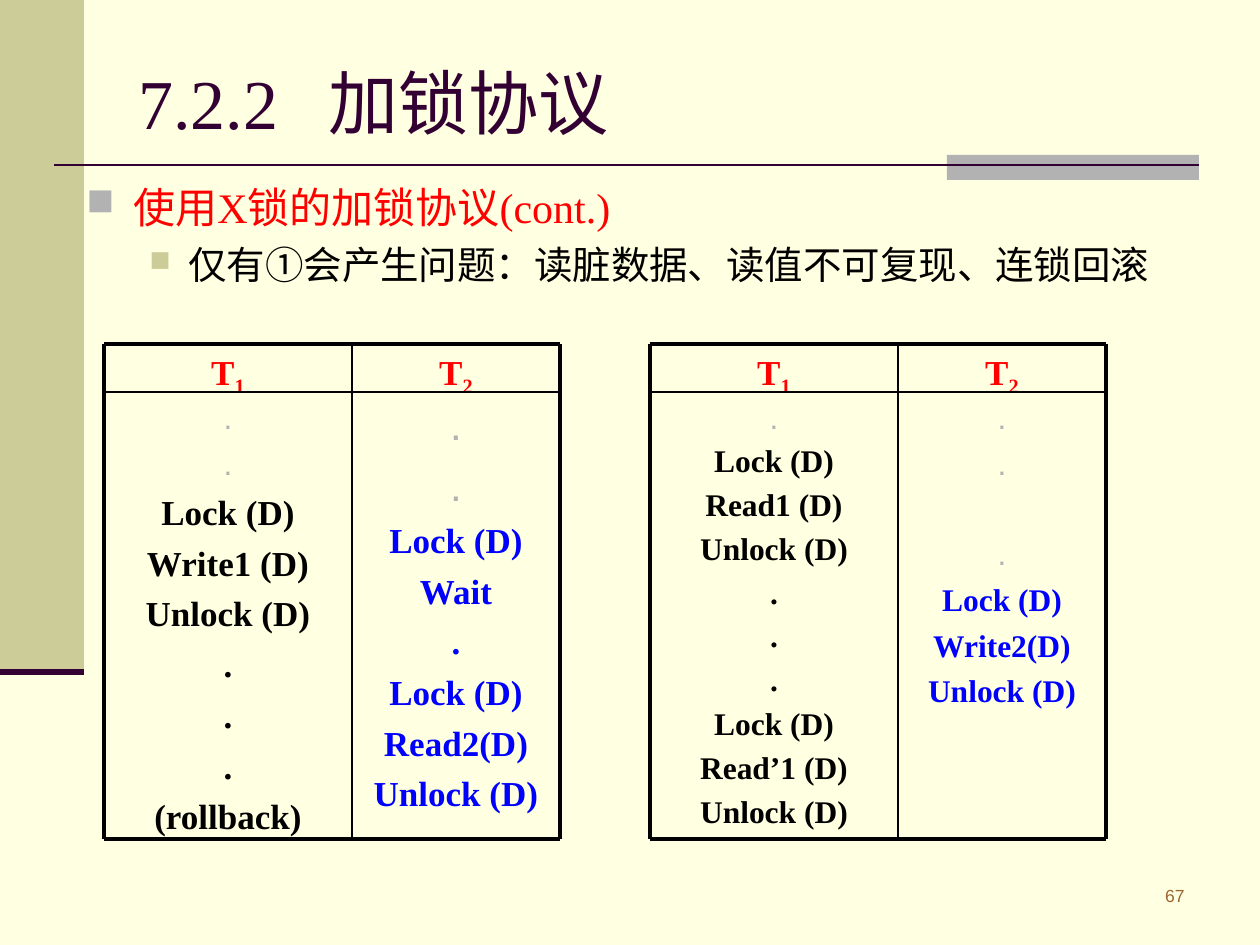
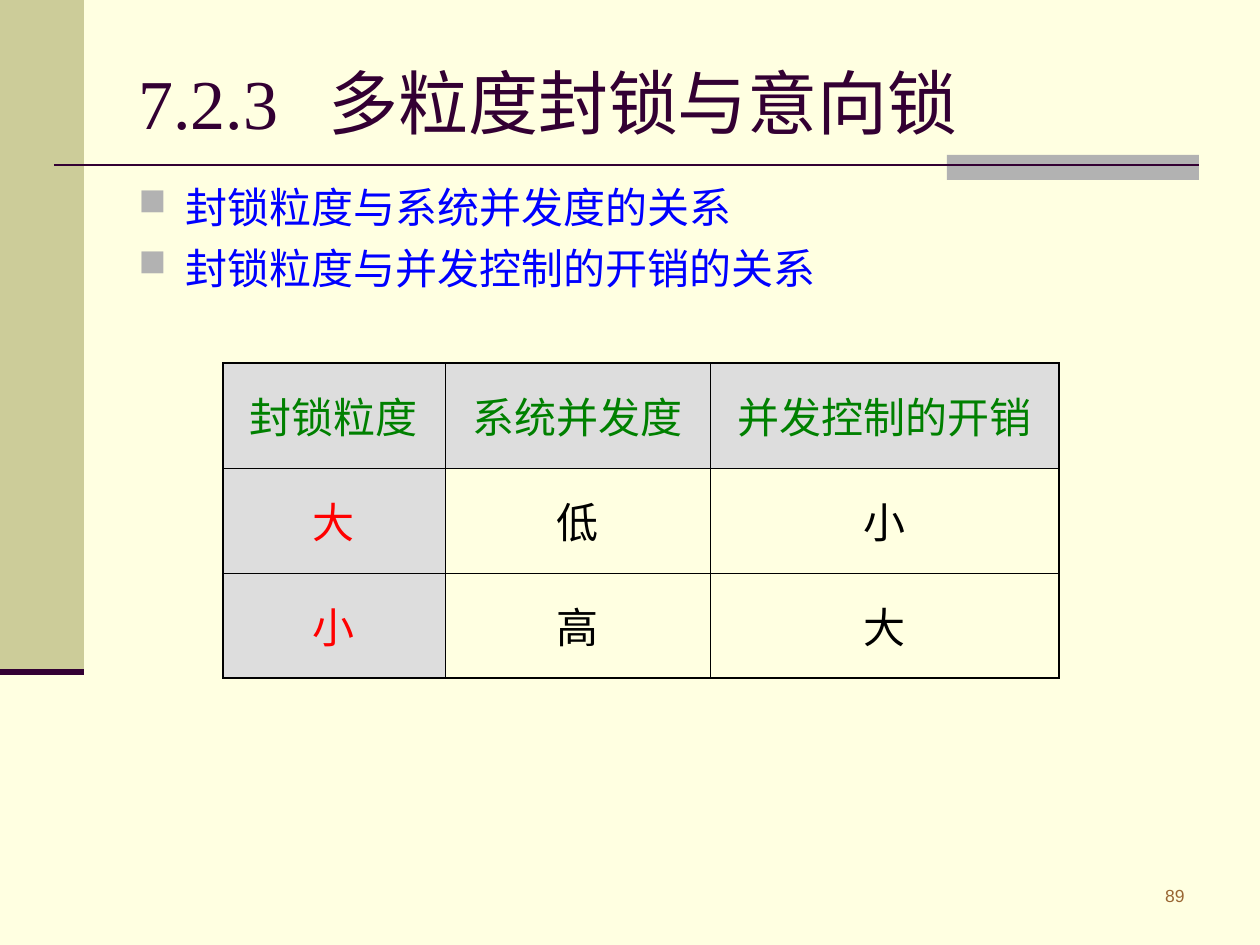
from copy import deepcopy

from lxml.etree import SubElement
from pptx import Presentation
from pptx.dml.color import RGBColor
from pptx.enum.shapes import MSO_CONNECTOR, MSO_SHAPE
from pptx.enum.text import MSO_ANCHOR as ANCHOR, PP_ALIGN as ALIGN
from pptx.oxml.ns import qn
from pptx.util import Pt

PX = 7257  # EMU per pixel, 126 pixels to the inch

CREAM = RGBColor(0xFF, 0xFF, 0xE1)
OLIVE = RGBColor(0xCC, 0xCC, 0x99)
GRAY = RGBColor(0xB2, 0xB2, 0xB2)
PALE_GRAY = RGBColor(0xDD, 0xDD, 0xDD)
PLUM = RGBColor(0x33, 0x00, 0x33)
BROWN = RGBColor(0x99, 0x66, 0x33)
RED = RGBColor(0xFF, 0x00, 0x00)
BLUE = RGBColor(0x00, 0x00, 0xFF)
GREEN = RGBColor(0x00, 0x80, 0x00)
BLACK = RGBColor(0x00, 0x00, 0x00)

SERIF, SANS = "Times New Roman", "Arial"

# Text styles: font, size, bold, colour
TITLE = (SERIF, 40, False, PLUM)
NUMBER = (SANS, 10, False, BROWN)
RED_POINT = (SERIF, 24, False, RED)
BLUE_POINT = (SERIF, 24, False, BLUE)
SUB_POINT = (SERIF, 22, False, BLACK)
COLUMN_HEAD = (SERIF, 20, True, RED)
LARGE_DOT = (SANS, 24, False, GRAY)
SMALL_DOT = (SANS, 18, False, GRAY)
LARGE_BLACK = (SERIF, 20, True, BLACK)
LARGE_BLUE = (SERIF, 20, True, BLUE)
SMALL_BLACK = (SERIF, 18, True, BLACK)
SMALL_BLUE = (SERIF, 18, True, BLUE)


def add_text(page, area, lines, align=ALIGN.LEFT, anchor=ANCHOR.TOP):
    """Add a text box of (text, style) lines, each a quarter of its size below the last."""
    frame = page.shapes.add_textbox(*(n * PX for n in area)).text_frame
    frame.word_wrap = True
    frame.vertical_anchor = anchor
    frame.text = "\n".join(text for text, style in lines)
    for index, (para, (text, style)) in enumerate(zip(frame.paragraphs, lines)):
        font, size, bold, colour = style
        para.alignment = align
        if index:
            para.space_before = Pt(size / 4)
        span = para.runs[0].font
        span.name, span.size, span.bold = font, Pt(size), bold
        span.color.rgb = colour
    return frame


def add_line(page, ends, width, colour):
    line = page.shapes.add_connector(MSO_CONNECTOR.STRAIGHT, *(n * PX for n in ends))
    line.line.width = Pt(width)
    line.line.color.rgb = colour
    SubElement(line._element.spPr, qn("a:effectLst"))


deck = Presentation()
deck.slide_width, deck.slide_height = 1260 * PX, 945 * PX

# Title, page number, left edge of the body, body lines
contents = [
    ("7.2.2\t加锁协议", "67", 74, [
        ("使用X锁的加锁协议(cont.)", RED_POINT),
        ("仅有①会产生问题：读脏数据、读值不可复现、连锁回滚", SUB_POINT)]),
    ("7.2.3\t多粒度封锁与意向锁", "89", 126, [
        ("封锁粒度与系统并发度的关系", BLUE_POINT),
        ("封锁粒度与并发控制的开销的关系", BLUE_POINT)]),
]

pages = []
for title, number, body_left, points in contents:
    page = deck.slides.add_slide(deck.slide_layouts[6])
    pages.append(page)
    page.background.fill.solid()
    page.background.fill.fore_color.rgb = CREAM

    for area, colour in [((0, 0, 84, 672), OLIVE), ((947, 155, 252, 25), GRAY)]:
        band = page.shapes.add_shape(MSO_SHAPE.RECTANGLE, *(n * PX for n in area))
        band.shadow.inherit = False
        band.fill.solid()
        band.fill.fore_color.rgb = colour
        band.line.fill.background()
    add_line(page, (54, 165, 1199, 165), 1.5, PLUM)
    add_line(page, (0, 672, 84, 672), 3.5, PLUM)

    add_text(page, (1037, 879, 160, 44), [(number, NUMBER)], ALIGN.RIGHT)

    frame = add_text(page, (126, 38, 1071, 127), [(title, TITLE)], anchor=ANCHOR.MIDDLE)
    tabs = SubElement(frame.paragraphs[0]._p.get_or_add_pPr(), qn("a:tabLst"))
    SubElement(tabs, qn("a:tab"), pos=str(190 * PX), algn="l")

    frame = add_text(page, (body_left, 175, 1197 - body_left, 694), points)
    for para, (text, style) in zip(frame.paragraphs, points):
        if style == SUB_POINT:
            margin, indent, percent, colour = 102, -39, 75, OLIVE
        else:
            margin, indent, percent, colour = 47, -47, 90, GRAY
        props = para._p.get_or_add_pPr()
        props.set("marL", str(margin * PX))
        props.set("indent", str(indent * PX))
        SubElement(SubElement(props, qn("a:buClr")), qn("a:srgbClr"), val=str(colour))
        SubElement(props, qn("a:buSzPct"), val=str(percent * 1000))
        SubElement(props, qn("a:buChar"), char="■")

lock_page, granularity_page = pages

# Two schedules of transactions side by side
TOP, HEAD_BOTTOM, BOTTOM = 344, 392, 839
FIRST_WIDTH, SECOND_WIDTH = 248, 208

dirty_read = [
    [(".", SMALL_DOT)] * 2 + [(step, LARGE_BLACK) for step in (
        "Lock (D)", "Write1 (D)", "Unlock (D)", ".", ".", ".", "(rollback)")],
    [(".", LARGE_DOT)] * 2 + [(step, LARGE_BLUE) for step in (
        "Lock (D)", "Wait", ".", "Lock (D)", "Read2(D)", "Unlock (D)")],
]
unrepeatable_read = [
    [(".", SMALL_DOT)] + [(step, SMALL_BLACK) for step in (
        "Lock (D)", "Read1 (D)", "Unlock (D)", ".", ".", ".",
        "Lock (D)", "Read’1 (D)", "Unlock (D)")],
    [(".", SMALL_DOT)] * 3 + [(step, SMALL_BLUE) for step in (
        "Lock (D)", "Write2(D)", "Unlock (D)")],
]

step_frames = []
for left, schedule in [(104, dirty_read), (650, unrepeatable_read)]:
    middle = left + FIRST_WIDTH
    right = middle + SECOND_WIDTH
    columns = [(left, FIRST_WIDTH), (middle, SECOND_WIDTH)]
    for number, ((x, width), steps) in enumerate(zip(columns, schedule), 1):
        step_frames.append(add_text(
            lock_page, (x, HEAD_BOTTOM, width, BOTTOM - HEAD_BOTTOM), steps, ALIGN.CENTER))
        head = add_text(lock_page, (x, TOP, width, HEAD_BOTTOM - TOP),
                        [("T", COLUMN_HEAD)], ALIGN.CENTER).paragraphs[0]
        head._p.append(deepcopy(head.runs[0]._r))
        subscript = head.runs[1]
        subscript.text = str(number)
        subscript.font._element.set("baseline", "-25000")
    for y, weight in [(TOP, 2.25), (HEAD_BOTTOM, 1), (BOTTOM, 2.25)]:
        add_line(lock_page, (left, y, right, y), weight, BLACK)
    for x, weight in [(left, 2.25), (middle, 1), (right, 2.25)]:
        add_line(lock_page, (x, TOP, x, BOTTOM), weight, BLACK)

first_reader, writer = step_frames[2:]
for para in first_reader.paragraphs[1:]:
    para.line_spacing = 0.95
writer.paragraphs[2].space_before = Pt(30)  # leaves one step free

# Granularity against concurrency and overhead
rows = [
    ("封锁粒度", "系统并发度", "并发控制的开销"),
    ("大", "低", "小"),
    ("小", "高", "大"),
]
widths = (222, 265, 349)
ROW_HEIGHT = 105
table = granularity_page.shapes.add_table(
    len(rows), len(widths), 223 * PX, 363 * PX,
    sum(widths) * PX, len(rows) * ROW_HEIGHT * PX).table
table.first_row = table.horz_banding = False
for column, width in zip(table.columns, widths):
    column.width = width * PX

last_row, last_column = len(rows) - 1, len(widths) - 1
for r, row in enumerate(rows):
    table.rows[r].height = ROW_HEIGHT * PX
    for c, text in enumerate(row):
        cell = table.cell(r, c)
        cell.vertical_anchor = ANCHOR.MIDDLE
        edges = [("a:lnL", c == 0), ("a:lnR", c == last_column),
                 ("a:lnT", r == 0), ("a:lnB", r == last_row)]
        for tag, outer in edges:
            border = SubElement(cell._tc.get_or_add_tcPr(), qn(tag),
                                w=str(Pt(1.08 if outer else 0.45)))
            fill = SubElement(border, qn("a:solidFill"))
            SubElement(fill, qn("a:srgbClr"), val=str(BLACK))
        if r == 0 or c == 0:
            cell.fill.solid()
            cell.fill.fore_color.rgb = PALE_GRAY
        else:
            cell.fill.background()
        cell.text_frame.text = text
        para = cell.text_frame.paragraphs[0]
        para.alignment = ALIGN.CENTER
        span = para.runs[0].font
        span.name, span.size = SANS, Pt(24)
        span.color.rgb = GREEN if r == 0 else RED if c == 0 else BLACK

deck.save("out.pptx")
